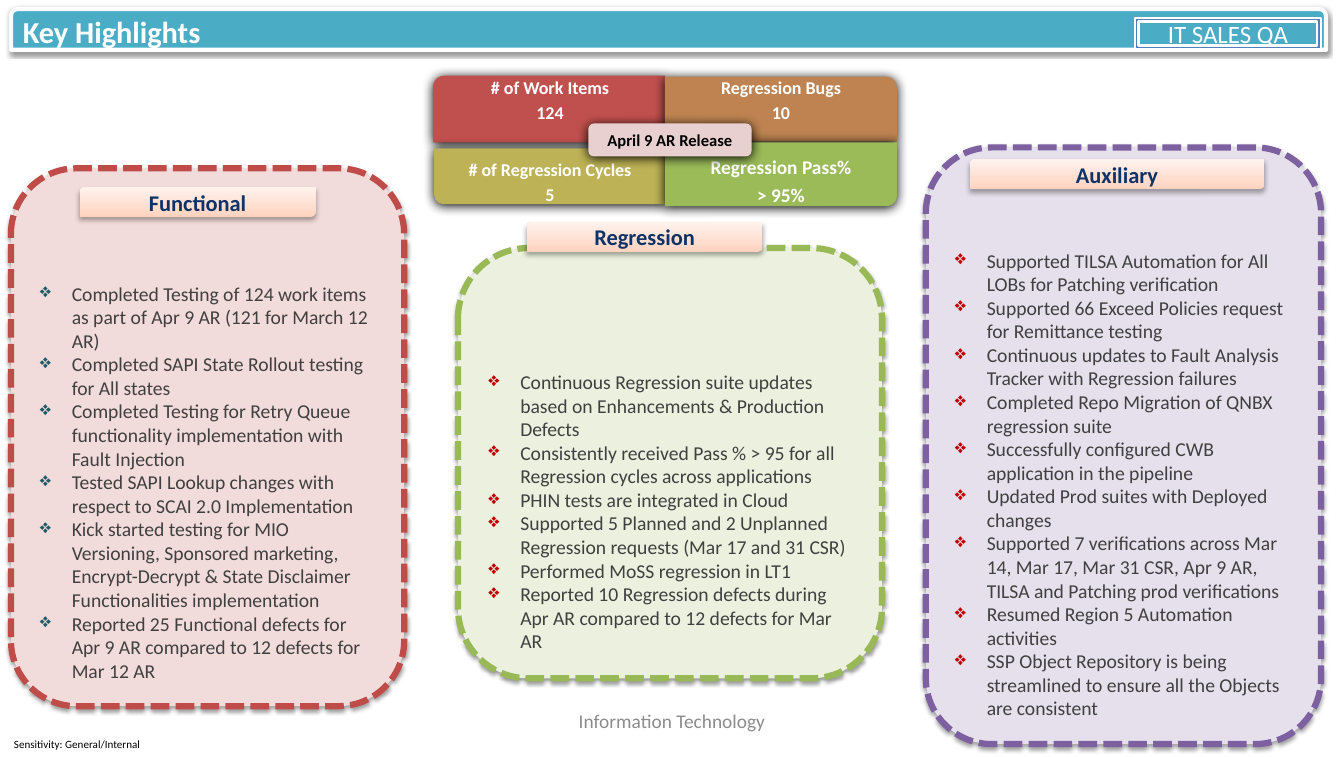
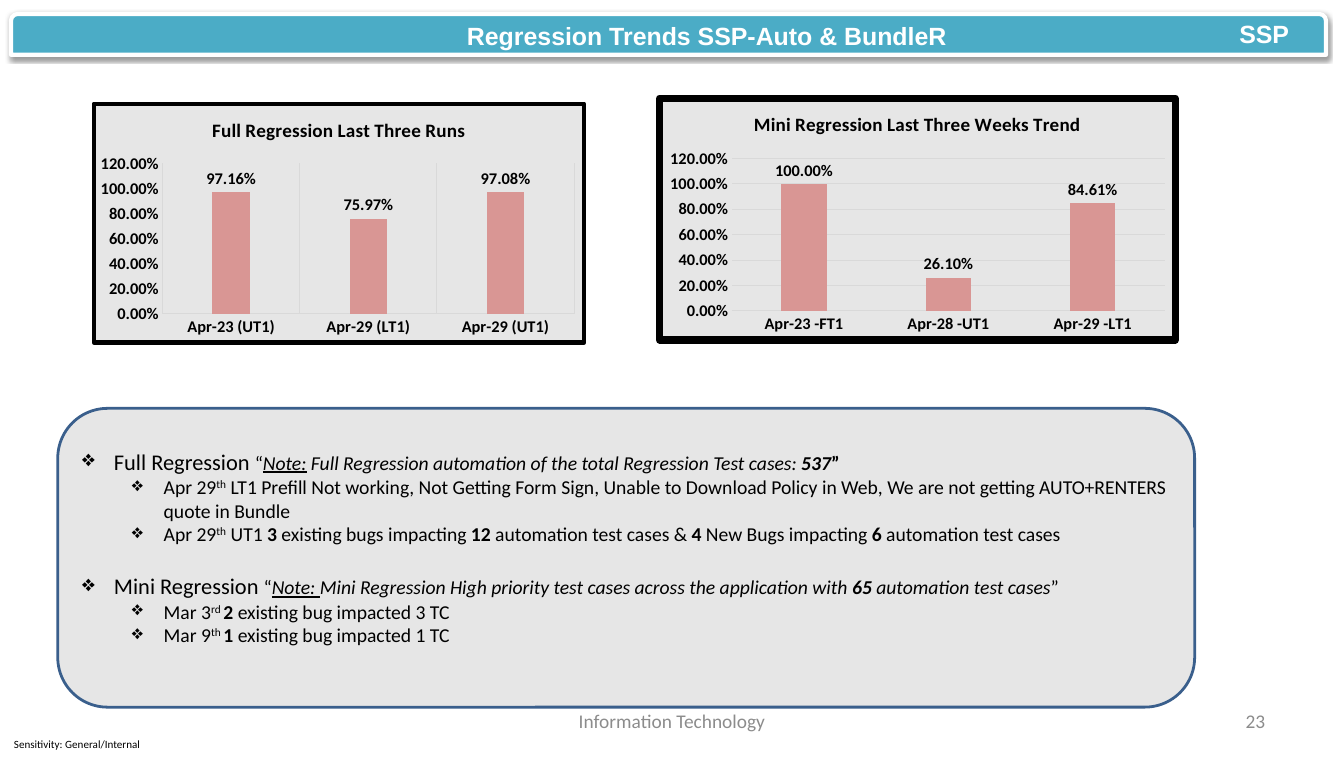
from typing import NamedTuple

from pptx import Presentation
from pptx.chart.data import CategoryChartData
from pptx.dml.color import RGBColor
from pptx.enum.chart import XL_CHART_TYPE, XL_LABEL_POSITION, XL_TICK_MARK
from pptx.enum.dml import MSO_LINE
from pptx.enum.shapes import MSO_SHAPE
from pptx.enum.text import MSO_ANCHOR, MSO_AUTO_SIZE, PP_ALIGN
from pptx.oxml import parse_xml
from pptx.oxml.ns import nsdecls, qn
from pptx.util import Inches, Pt

COLS, ROWS, CELL = 135, 76, Inches(0.1)
LEFT, MID, RIGHT = PP_ALIGN.LEFT, PP_ALIGN.CENTER, PP_ALIGN.RIGHT
BASE, HEART = MSO_ANCHOR.BOTTOM, MSO_ANCHOR.MIDDLE
ROUND, CORNER = MSO_SHAPE.ROUNDED_RECTANGLE, MSO_SHAPE.ROUND_1_RECTANGLE
BAND, FRAME = MSO_SHAPE.ROUND_2_SAME_RECTANGLE, MSO_SHAPE.FRAME
TAG = MSO_SHAPE.ROUND_2_DIAG_RECTANGLE
DASH, NO_TICK = MSO_LINE.SQUARE_DOT, XL_TICK_MARK.NONE
COLUMN, ABOVE = XL_CHART_TYPE.COLUMN_CLUSTERED, XL_LABEL_POSITION.OUTSIDE_END
FIXED = MSO_AUTO_SIZE.NONE
COLOR = {
    "band": "4BACC6", "white": "FFFFFF", "black": "000000", "foot": "8C8C8C",
    "body": "404040", "navy": "0F3367", "frame": "4F81BD", "badge": "E8D0D0",
    "red": "C0504D", "brown": "BE8351", "olive": "BDB255", "green": "9BBB59",
    "pink": "F2DCDB", "mint": "EBF1DE", "lilac": "E6E0EC", "teal": "215968",
    "rose": "BF4C48", "leaf": "98B955", "plum": "7D60A0", "mark": "C00000",
    "grey": "E6E6E6", "edge": "3A5F8C", "bar": "D99694", "grid": "D9D9D9",
}
PEACH = ((0, "FFD2BD"), (35, "FFDED0"), (100, "FFF2ED"))


class Box(NamedTuple):
    """Place on the grid, in columns and rows."""
    x: float
    y: float
    w: float
    h: float


class Glow(NamedTuple):
    alpha: int
    blur: float
    dist: float


class Font(NamedTuple):
    size: float
    color: str
    bold: bool = False
    name: str = "Calibri"


class Tile(NamedTuple):
    box: Box
    text: Box
    turn: int
    fill: str
    size: float
    lines: tuple[str, str]


class Panel(NamedTuple):
    box: Box
    tag: Box
    name: str
    fill: str
    line: str
    mark: str
    items: list[str]


class Run(NamedTuple):
    """Flags: b bold, i italic, u underlined, s superscript, h heading size."""
    text: str
    flags: str = ""


class Point(NamedTuple):
    level: int
    gap: float
    runs: list[Run]


class Graph(NamedTuple):
    box: Box
    title: str
    data: dict[str, float]
    gap: int
    overlap: int
    border: float
    upright: bool


SOFT, HARD, DROP = Glow(38, 3.1, 1.6), Glow(100, 8.5, 1), Glow(32, 3.5, 2.2)

TILES = [
    Tile(Box(43.5, 7.6, 23.3, 6.7), Box(43.6, 7.6, 23.3, 5.1), 270, "red", 13,
         ("# of Work Items", "124")),
    Tile(Box(66.8, 7.7, 23.3, 6.5), Box(66.8, 7.7, 23.3, 4.9), 0, "brown", 13,
         ("Regression Bugs", "10")),
    Tile(Box(43.6, 14.9, 23.3, 5.6), Box(43.6, 16.3, 23.3, 4.2), 180, "olive", 13,
         ("# of Regression Cycles", "5")),
    Tile(Box(66.8, 14.3, 23.3, 6.4), Box(66.8, 15.9, 23.3, 4.8), 90, "green", 14,
         ("Regression Pass%", "> 95%")),
]
PANELS = [
    Panel(Box(1.1, 16.9, 39.5, 54), Box(8, 18.8, 23.7, 3), "Functional", "pink", "rose", "teal", [
        "Completed Testing of 124 work items as part of Apr 9 AR (121 for March 12 AR)",
        "Completed SAPI State Rollout testing for All states",
        "Completed Testing for Retry Queue functionality implementation with Fault Injection",
        "Tested SAPI Lookup changes with respect to SCAI 2.0 Implementation",
        "Kick started testing for MIO Versioning, Sponsored marketing, Encrypt-Decrypt & "
        "State Disclaimer Functionalities implementation",
        "Reported 25 Functional defects for Apr 9 AR compared to 12 defects for Mar 12 AR"]),
    Panel(Box(46, 24.9, 42.6, 43.2), Box(52.9, 22.3, 23.7, 3), "Regression", "mint", "leaf", "mark", [
        "Continuous Regression suite updates based on Enhancements & Production Defects",
        "Consistently received Pass % > 95 for all Regression cycles across applications",
        "PHIN tests are integrated in Cloud",
        "Supported 5 Planned and 2 Unplanned Regression requests (Mar 17 and 31 CSR)",
        "Performed MoSS regression in LT1",
        "Reported 10 Regression defects during Apr AR compared to 12 defects for Mar AR"]),
    Panel(Box(93, 14.8, 39.7, 59.9), Box(97.4, 16, 29.6, 3), "Auxiliary", "lilac", "plum", "mark", [
        "Supported TILSA Automation for All LOBs for Patching verification",
        "Supported 66 Exceed Policies request for Remittance testing",
        "Continuous updates to Fault Analysis Tracker with Regression failures",
        "Completed Repo Migration of QNBX regression suite",
        "Successfully configured CWB application in the pipeline",
        "Updated Prod suites with Deployed changes",
        "Supported 7 verifications across Mar 14, Mar 17, Mar 31 CSR, Apr 9 AR, "
        "TILSA and Patching prod verifications",
        "Resumed Region 5 Automation activities",
        "SSP Object Repository is being streamlined to ensure all the Objects are consistent"]),
]
GRAPHS = [
    Graph(Box(9.2, 10.2, 49.7, 24.4), "Full Regression Last Three Runs",
          {"Apr-23 (UT1)": 0.9716, "Apr-29 (LT1)": 0.7597, "Apr-29 (UT1)": 0.9708},
          267, -43, 3.5, True),
    Graph(Box(65.9, 9.5, 52.5, 25), "Mini Regression Last Three Weeks Trend",
          {"Apr-23 -FT1": 1, "Apr-28 -UT1": 0.261, "Apr-29 -LT1": 0.8461},
          219, -27, 5.25, False),
]
POINTS = [
    Point(0, 0, [Run("Full Regression ", "h"), Run("“"), Run("Note:", "iu"),
                 Run(" Full Regression automation of the total Regression Test cases: ", "i"),
                 Run("537", "bi"), Run("”", "b")]),
    Point(1, 0, [Run("Apr 29"), Run("th", "s"),
                 Run(" LT1 Prefill Not working, Not Getting Form Sign, Unable to Download Policy "
                     "in Web, We are not getting AUTO+RENTERS quote in Bundle")]),
    Point(1, 0, [Run("Apr 29"), Run("th", "s"), Run(" UT1 "), Run("3", "b"),
                 Run(" existing bugs impacting "), Run("12", "b"),
                 Run(" automation test cases & "), Run("4", "b"),
                 Run(" New Bugs impacting "), Run("6", "b"), Run(" automation test cases")]),
    Point(0, 19.5, [Run("Mini Regression ", "h"), Run("“"), Run("Note: ", "iu"),
                    Run("Mini Regression High priority test cases across the application with ", "i"),
                    Run("65", "bi"), Run(" automation test cases", "i"), Run("”")]),
    Point(1, 0, [Run("Mar 3"), Run("rd ", "s"), Run("2", "b"), Run(" existing bug impacted 3 TC")]),
    Point(1, 0, [Run("Mar 9"), Run("th ", "s"), Run("1", "b"), Run(" existing bug impacted 1 TC")]),
]


def rgb(name: str) -> RGBColor:
    return RGBColor.from_string(COLOR[name])


def span(box: Box) -> list[int]:
    return [round(side * CELL) for side in box]


def style(font, look: Font) -> None:
    font.name, font.size, font.bold = look.name, Pt(look.size), look.bold
    font.color.rgb = rgb(look.color)


def bullet(para, left: float, mark: str) -> None:
    props = para._p.get_or_add_pPr()
    props.set("marL", str(Inches(left)))
    props.set("indent", str(Inches(-0.32)))
    for body in (f'buClr {nsdecls("a")}><a:srgbClr val="{COLOR[mark]}"/></a:buClr',
                 f'buChar {nsdecls("a")} char="❖"/'):
        props.append(parse_xml(f"<a:{body}>"))


def write(frame, lines, look: Font, align=LEFT, anchor=HEART, mark="", inset=None, lead=False) -> None:
    """Fill a text frame; lead sets the tight lines with space after."""
    frame.word_wrap, frame.vertical_anchor = True, anchor
    frame.auto_size = FIXED
    if inset is not None:
        frame.margin_left = frame.margin_right = Inches(inset)
        frame.margin_top = frame.margin_bottom = Inches(inset)
    for n, line in enumerate(lines):
        para = frame.add_paragraph() if n else frame.paragraphs[0]
        para.text = line
        if mark:
            bullet(para, 0.32, mark)
        para.alignment = align
        if lead:
            para.line_spacing, para.space_after = 0.9, Pt(round(0.35 * look.size, 1))
        style(para.font, look)


def note(slide, box: Box, lines, look: Font, **rest) -> None:
    write(slide.shapes.add_textbox(*span(box)).text_frame, lines, look, **rest)


def form(slide, kind, box: Box, fill="", line="", width=0.0, glow=None):
    shape = slide.shapes.add_shape(kind, *span(box))
    if fill:
        shape.fill.solid()
        shape.fill.fore_color.rgb = rgb(fill)
    if line:
        shape.line.color.rgb, shape.line.width = rgb(line), Pt(width)
    else:
        shape.line.fill.background()
    shape.shadow.inherit = False
    if glow:
        shape.element.spPr.find(qn("a:effectLst")).append(parse_xml(
            f'<a:outerShdw {nsdecls("a")} blurRad="{Pt(glow.blur)}" dist="{Pt(glow.dist)}" '
            f'dir="5400000" rotWithShape="0"><a:srgbClr val="000000">'
            f'<a:alpha val="{glow.alpha * 1000}"/></a:srgbClr></a:outerShdw>'))
    return shape


def start(deck, top: float, title: str, place: Box, look: Font):
    """Add a slide with its band, title and footers."""
    slide = deck.slides.add_slide(deck.slide_layouts[5])
    head = slide.shapes.title
    head.left, head.top, head.width, head.height = span(place)
    write(head.text_frame, [title], look)
    band = form(slide, BAND, Box(1.1, top, 132.1, 4.1), "band", "white", 3, SOFT)
    head.element.addprevious(band.element)
    note(slide, Box(1.4, 73.5, 15.5, 2.5), ["Sensitivity: General/Internal"], Font(8, "black"), inset=0)
    note(slide, Box(46.1, 70.4, 42.8, 4), ["Information Technology"], Font(14, "foot"), align=MID)
    return slide


def tile(slide, item: Tile) -> None:
    x, y, w, h = item.box
    spot = item.box
    if item.turn % 180:
        spot = Box(x + (w - h) / 2, y + (h - w) / 2, h, w)
    form(slide, CORNER, spot, item.fill, glow=HARD).rotation = item.turn
    note(slide, item.text, item.lines, Font(item.size, "white", True), align=MID, inset=0.1, lead=True)


def panel(slide, item: Panel) -> None:
    shape = form(slide, ROUND, item.box, item.fill, item.line, 4.5, SOFT)
    shape.line.dash_style = DASH
    write(shape.text_frame, item.items, Font(14.2, "body"), anchor=BASE, mark=item.mark)


def tag(slide, item: Panel) -> None:
    shape = form(slide, TAG, item.tag, glow=DROP)
    shape.fill.background()
    props = shape.element.spPr
    stops = "".join(f'<a:gs pos="{pos * 1000}"><a:srgbClr val="{tint}"/></a:gs>' for pos, tint in PEACH)
    props.replace(props.find(qn("a:noFill")), parse_xml(
        f'<a:gradFill {nsdecls("a")} rotWithShape="1"><a:gsLst>{stops}</a:gsLst>'
        f'<a:lin ang="16200000" scaled="0"/></a:gradFill>'))
    write(shape.text_frame, [item.name], Font(16.2, "navy", True), align=MID)


def graph(slide, item: Graph) -> None:
    data = CategoryChartData(number_format="0.00%")
    data.categories = list(item.data)
    data.add_series("Series 1", list(item.data.values()))
    chart = slide.shapes.add_chart(COLUMN, *span(item.box), data).chart
    look = Font(12, "black", True)
    style(chart.font, look)
    chart.has_legend, chart.has_title = False, True
    head = chart.chart_title
    head.include_in_layout = False
    head.text_frame.text = item.title
    style(head.text_frame.paragraphs[0].font, Font(14, "black", True))
    plot = chart.plots[0]
    plot.gap_width, plot.overlap, plot.vary_by_categories = item.gap, item.overlap, False
    fill = plot.series[0].format.fill
    fill.solid()
    fill.fore_color.rgb = rgb("bar")
    plot.has_data_labels = True
    tips = plot.data_labels
    tips.show_value, tips.position = True, ABOVE
    tips.number_format, tips.number_format_is_linked = "0.00%", False
    style(tips.font, look)
    cat, val = chart.category_axis, chart.value_axis
    for axis, grid in ((cat, item.upright), (val, not item.upright)):
        axis.major_tick_mark = axis.minor_tick_mark = NO_TICK
        style(axis.tick_labels.font, look)
        axis.has_major_gridlines = grid
        if grid:
            rule = axis.major_gridlines.format.line
            rule.color.rgb, rule.width = rgb("grid"), Pt(0.75)
    cat.format.line.color.rgb, cat.format.line.width = rgb("grid"), Pt(0.75)
    val.format.line.fill.background()
    val.minimum_scale, val.maximum_scale, val.major_unit = 0, 1.2, 0.2
    val.tick_labels.number_format, val.tick_labels.number_format_is_linked = "0.00%", False
    area = chart.element.find(".//" + qn("c:plotArea"))
    for old in area.findall(qn("c:layout")):
        area.remove(old)
    sides = "".join(f'<c:{key} val="{share}"/>' for key, share in (
        ("layoutTarget", "inner"), ("xMode", "edge"), ("yMode", "edge"),
        ("x", 0.14), ("y", 0.25), ("w", 0.84), ("h", 0.63)))
    area.insert(0, parse_xml(
        f'<c:layout {nsdecls("c")}><c:manualLayout>{sides}</c:manualLayout></c:layout>'))
    chart.element.find(qn("c:txPr")).addprevious(parse_xml(
        f'<c:spPr {nsdecls("c", "a")}><a:solidFill><a:srgbClr val="{COLOR["grey"]}"/></a:solidFill>'
        f'<a:ln w="{Pt(item.border)}"><a:solidFill><a:srgbClr val="{COLOR["black"]}"/>'
        f'</a:solidFill></a:ln></c:spPr>'))


def notes(frame, points: list[Point]) -> None:
    """Write the bulleted points with mixed runs."""
    frame.word_wrap, frame.vertical_anchor = True, HEART
    frame.margin_bottom = Inches(0.26)
    for n, point in enumerate(points):
        para = frame.add_paragraph() if n else frame.paragraphs[0]
        para.level, para.alignment = point.level, LEFT
        bullet(para, 0.32 + 0.5 * point.level, "black")
        if point.gap:
            para.space_before = Pt(point.gap)
        style(para.font, Font(14.2, "black"))
        for text, flags in point.runs:
            run = para.add_run()
            run.text = text
            run.font.bold, run.font.italic = "b" in flags, "i" in flags
            run.font.underline = "u" in flags
            if "h" in flags:
                run.font.size = Pt(16.2)
            if "s" in flags:
                run._r.get_or_add_rPr().set("baseline", "30000")


def main() -> None:
    deck = Presentation()
    deck.slide_width, deck.slide_height = COLS * CELL, ROWS * CELL

    slide = start(deck, 0.9, "Key Highlights", Box(1.3, 1.1, 60, 4.1), Font(22, "white", True))
    for item in TILES:
        tile(slide, item)
    badge = form(slide, ROUND, Box(59.1, 12.4, 16.4, 3.3), "badge", glow=HARD)
    write(badge.text_frame, ["April 9 AR Release"], Font(12, "black", True), align=MID, inset=0)
    unit = form(slide, FRAME, Box(114, 1.8, 18.7, 3.2), "frame", "white", 2)
    write(unit.text_frame, ["IT SALES QA"], Font(18, "white"), align=MID)
    for draw in (panel, tag):
        for item in PANELS:
            draw(slide, item)

    bold = Font(18, "white", True, "Arial")
    slide = start(deck, 1.4, "Regression Trends SSP-Auto & BundleR", Box(45.9, 1.5, 52.4, 4.1), bold)
    note(slide, Box(96.8, 70.4, 31.5, 4), ["23"], Font(14, "foot"), align=RIGHT, inset=0.12)
    notes(form(slide, ROUND, Box(5.8, 41, 114.2, 30), "grey", "edge", 2).text_frame, POINTS)
    note(slide, Box(123.5, 1.3, 9, 4.1), ["SSP"], bold)
    for item in GRAPHS:
        graph(slide, item)
    deck.save("out.pptx")


if __name__ == "__main__":
    main()
